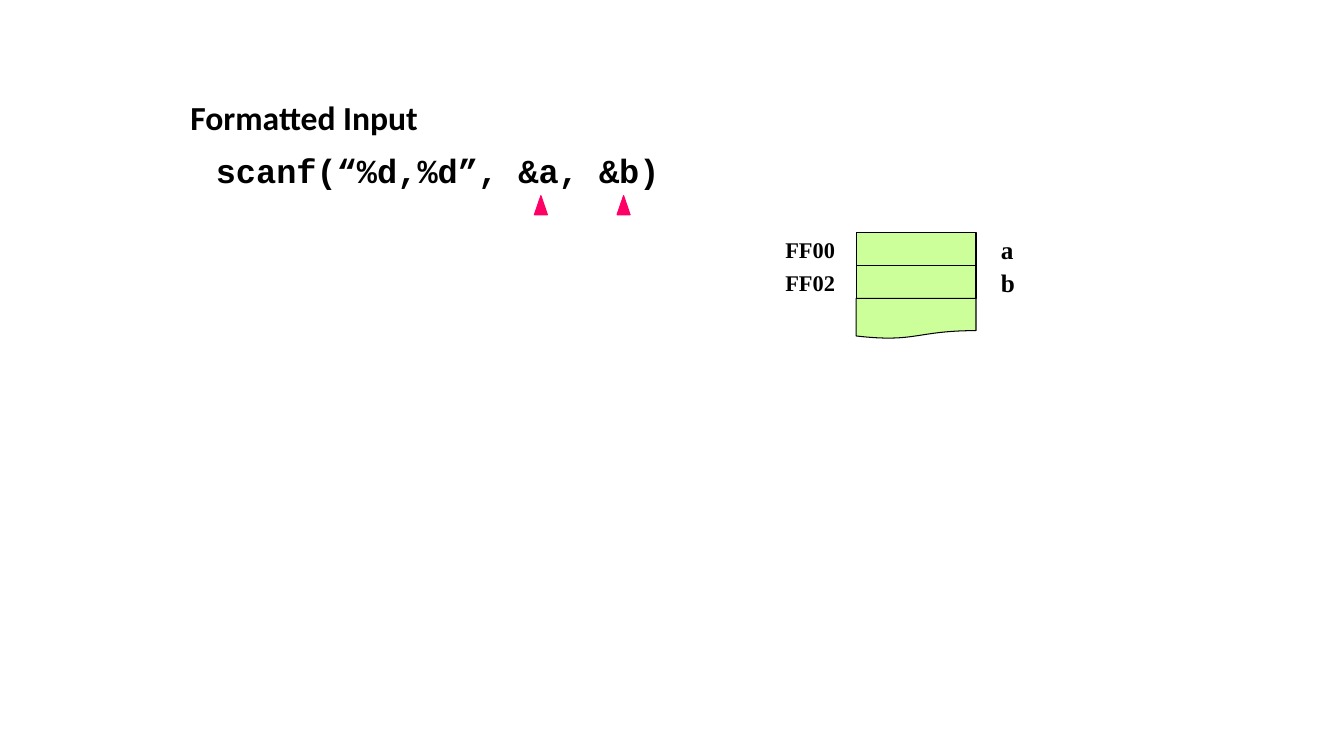
from lxml import etree
from pptx import Presentation
from pptx.dml.color import RGBColor
from pptx.enum import shapes, text
from pptx.oxml import ns
from pptx.util import Inches, Pt

BLACK = RGBColor(0x00, 0x00, 0x00)
WHITE = RGBColor(0xFF, 0xFF, 0xFF)
GREEN = RGBColor(0xCC, 0xFF, 0x99)
PINK = RGBColor(0xFF, 0x00, 0x66)

KIND = shapes.MSO_SHAPE
ANCHOR = text.MSO_ANCHOR
ALIGN = text.PP_ALIGN


def add_text(slide, box, words, face, size, anchor=ANCHOR.TOP, **para):
    """Add a bold one-line text box; para holds paragraph format values."""
    label = slide.shapes.add_textbox(*map(Inches, box))
    frame = label.text_frame
    frame.word_wrap = True
    frame.vertical_anchor = anchor
    line = frame.paragraphs[0]
    line.text = words
    for name, value in para.items():
        setattr(line, name, value)
    style = {"name": face, "size": Pt(size), "bold": True}
    for name, value in style.items():
        setattr(line.runs[0].font, name, value)
    line.runs[0].font.color.rgb = BLACK
    return label


def add_block(slide, kind, box, fill, edge):
    block = slide.shapes.add_shape(kind, *map(Inches, box))
    block.shadow.inherit = False
    block.fill.solid()
    block.fill.fore_color.rgb = fill
    block.line.color.rgb = edge
    block.line.width = Pt(0.75)
    return block


def add_title(slide, box):
    title = add_text(slide, box, "Formatted Input", "Calibri", 24,
                     ANCHOR.BOTTOM, line_spacing=0.9)
    title.text_frame.margin_bottom = Inches(0.1)
    title.fill.solid()
    title.fill.fore_color.rgb = WHITE


def add_code(slide, box):
    """Place the call, with a pointer under each address argument."""
    left, top, width, height = box
    code = add_text(slide, box, "scanf(“%d,%d”, &a, &b)",
                    "Courier New", 24, line_spacing=0.8)
    code.text_frame.margin_left = Inches(0.35)
    for shift in (3.51, 4.33):
        add_block(slide, KIND.ISOSCELES_TRIANGLE,
                  (left + shift, top + 0.42, 0.13, 0.19), PINK, PINK)


def add_memory(slide, box):
    """Draw two memory cells with addresses and names, and a torn end."""
    left, top, width, height = box
    cells = add_block(slide, KIND.RECTANGLE, box, GREEN, BLACK)
    add_block(slide, KIND.FLOWCHART_DOCUMENT,
              (left, top + height, width, 0.4), GREEN, BLACK)

    split = slide.shapes.add_connector(
        shapes.MSO_CONNECTOR.STRAIGHT, 0, 0, 0, 0)
    split.begin_connect(cells, 1)
    split.end_connect(cells, 3)
    split.line.color.rgb = BLACK
    split.line.width = Pt(0.75)
    etree.SubElement(split._element.spPr, ns.qn("a:effectLst"))

    row = height / 2
    for i, (place, name) in enumerate((("FF00", "a"), ("FF02", "b"))):
        y = top + 0.01 + i * row
        add_text(slide, (left - 1.11, y, 1, 0.31), place,
                 "Times New Roman", 16, ANCHOR.MIDDLE, alignment=ALIGN.RIGHT)
        add_text(slide, (left + width + 0.15, y, 1, 0.31), name,
                 "Times New Roman", 18, ANCHOR.MIDDLE)


def main():
    deck = Presentation()
    deck.slide_width = Inches(13.33)
    deck.slide_height = Inches(7.5)
    slide = deck.slides.add_slide(deck.slide_layouts[6])
    add_title(slide, (1.79, 0.52, 9.75, 0.95))
    add_code(slide, (1.79, 1.52, 9.75, 5.49))
    add_memory(slide, (8.49, 2.31, 1.19, 0.65))
    deck.save("out.pptx")


if __name__ == "__main__":
    main()
